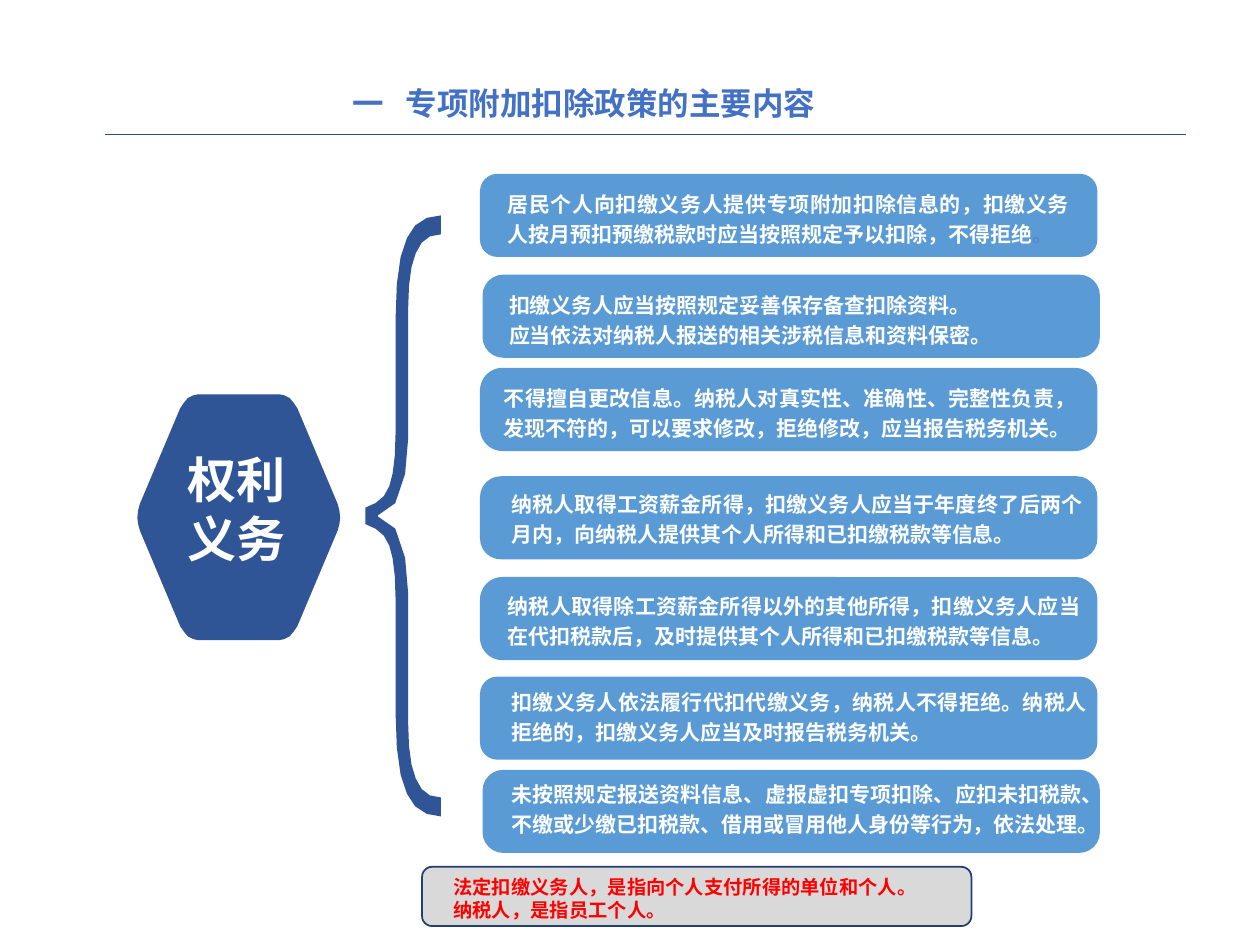
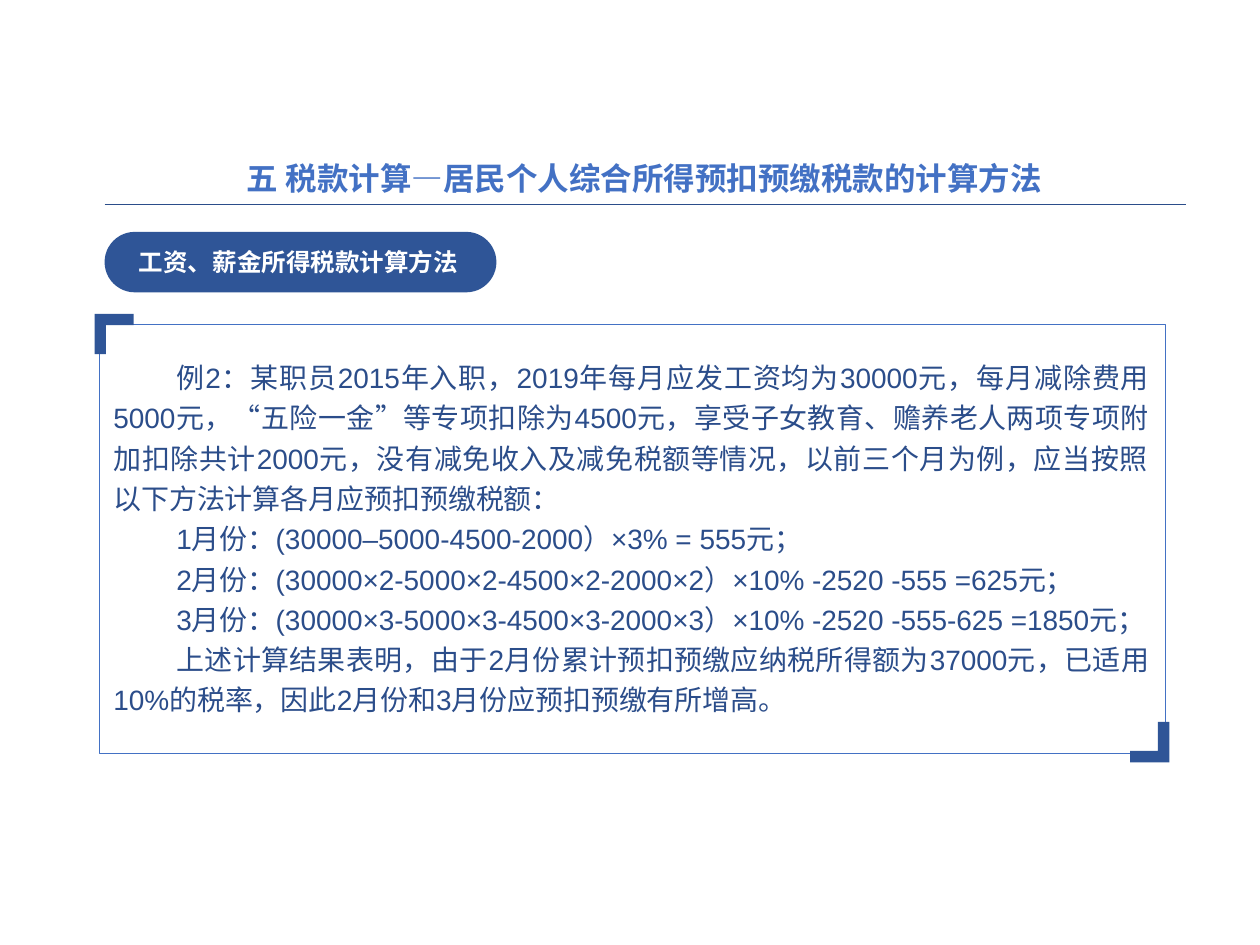
import pptx
import pptx.util
import pptx.dml.color
import pptx.enum.shapes
import pptx.enum.text
import pptx.oxml
import pptx.oxml.ns

Inches = pptx.util.Inches
ALIGN = pptx.enum.text.PP_ALIGN
ANCHOR = pptx.enum.text.MSO_ANCHOR

COLORS = {
    "title": "4371C4", "rule": "2B4D8A", "deep": "2F5597", "card": "5B9BD5",
    "white": "FFFFFF", "stop": "5C84CC", "note": "D9D9D9",
    "note_line": "233F70", "warning": "FF0000",
}
CJK = "Noto Sans CJK SC"

RIGHTS_TITLE = "一   专项附加扣除政策的主要内容"
RIGHTS_HUB = "权利义务"
CARD_LEFT, CARD_WIDTH, CARD_HEIGHT = 3.81, 4.9, 0.66
# card top, card shift, corner, text left, text offset, text width, paragraphs
DUTIES = [
    (1.38, 0, 0.21, 4.03, 0.10, 4.46,
     ["居民个人向扣缴义务人提供专项附加扣除信息的，扣缴义务人按月预扣预缴税款时应当按照规定予以扣除，不得拒绝"]),
    (2.18, 0.02, 0.25, 4.04, 0.10, 4.44,
     ["扣缴义务人应当按照规定妥善保存备查扣除资料。",
      "应当依法对纳税人报送的相关涉税信息和资料保密。"]),
    (2.92, 0, 0.27, 4.00, 0.10, 4.54,
     ["不得擅自更改信息。纳税人对真实性、准确性、完整性负责，发现不符的，可以要求修改，拒绝修改，应当报告税务机关。"]),
    (3.78, 0, 0.25, 4.06, 0.08, 4.54,
     ["纳税人取得工资薪金所得，扣缴义务人应当于年度终了后两个月内，向纳税人提供其个人所得和已扣缴税款等信息。"]),
    (4.58, 0, 0.27, 4.03, 0.09, 4.55,
     ["纳税人取得除工资薪金所得以外的其他所得，扣缴义务人应当在代扣税款后，及时提供其个人所得和已扣缴税款等信息。"]),
    (5.37, 0, 0.21, 4.06, 0.06, 4.57,
     ["扣缴义务人依法履行代扣代缴义务，纳税人不得拒绝。纳税人拒绝的，扣缴义务人应当及时报告税务机关。"]),
    (6.11, 0.02, 0.25, 4.06, 0.05, 4.70,
     ["未按照规定报送资料信息、虚报虚扣专项扣除、应扣未扣税款、不缴或少缴已扣税款、借用或冒用他人身份等行为，依法处理。"]),
]
PALE_STOP = "。"
DEFINITIONS = ["法定扣缴义务人，是指向个人支付所得的单位和个人。", "纳税人，是指员工个人。"]

HUB_X, HUB_Y = (1.09, 2.7), (3.13, 5.08)
HUB_QUARTER = [
    [(2.7, 4.11)], [(2.7, 4.07), (2.69, 4.03), (2.68, 4.0)],
    [(2.36, 3.24)], [(2.34, 3.21), (2.32, 3.18), (2.3, 3.16)],
    [(2.27, 3.14), (2.24, 3.13), (2.22, 3.13)],
]
BRACE_Y = (1.71, 6.48)
BRACE_OUTER = [
    [(3.5, 1.71)], [(3.38, 1.71), (3.28, 1.77), (3.23, 1.89)],
    [(3.17, 2.01), (3.14, 2.22), (3.14, 2.53)], [(3.14, 3.44)],
    [(3.14, 3.64), (3.12, 3.78), (3.09, 3.86)],
    [(3.06, 3.95), (2.99, 4.0), (2.9, 4.03)],
]
BRACE_INNER = [
    [(3.0, 4.09)], [(3.17, 4.09), (3.24, 3.76), (3.24, 3.48)], [(3.24, 2.45)],
    [(3.24, 2.25), (3.26, 2.1), (3.3, 2.01)],
    [(3.34, 1.91), (3.4, 1.86), (3.5, 1.86)],
]

TAX_TITLE = "五 税款计算—居民个人综合所得预扣预缴税款的计算方法"
TAX_METHOD = "工资、薪金所得税款计算方法"
EXAMPLE = [
    "例2：某职员2015年入职，2019年每月应发工资均为30000元，每月减除费用5000元，“五险一金”等专项扣除为4500元，享受子女教育、赡养老人两项专项附加扣除共计2000元，没有减免收入及减免税额等情况，以前三个月为例，应当按照以下方法计算各月应预扣预缴税额：",
    "1月份：(30000–5000-4500-2000）×3% = 555元；",
    "2月份：(30000×2-5000×2-4500×2-2000×2）×10% -2520 -555 =625元；",
    "3月份：(30000×3-5000×3-4500×3-2000×3）×10% -2520 -555-625 =1850元；",
    "上述计算结果表明，由于2月份累计预扣预缴应纳税所得额为37000元，已适用10%的税率，因此2月份和3月份应预扣预缴有所增高。",
]
BRACKET = [(0.75, 2.49), (1.06, 2.49), (1.06, 2.58), (0.84, 2.58), (0.84, 2.81), (0.75, 2.81)]
BRACKETS_X, BRACKETS_Y = (0.75, 9.28), (2.49, 6.05)


def rgb(name):
    return pptx.dml.color.RGBColor.from_string(COLORS[name])


def style_run(run, size, color, bold, font):
    run.font.size = pptx.util.Pt(size)
    run.font.bold = bold
    run.font.name = font
    run.font.color.rgb = rgb(color)
    east_asian = pptx.oxml.parse_xml(
        f'<a:ea {pptx.oxml.ns.nsdecls("a")} typeface="{CJK}"/>')
    run.font._element.find(pptx.oxml.ns.qn("a:latin")).addnext(east_asian)


def add_text(slide, box, paragraphs, size, color, bold=True, font=CJK, align=None,
             spacing=None, before=None, indent=0, anchor=ANCHOR.TOP, insets=(0, 0)):
    frame = slide.shapes.add_textbox(*map(Inches, box)).text_frame
    frame.word_wrap = True
    frame.vertical_anchor = anchor
    frame.margin_left = frame.margin_right = Inches(insets[0])
    frame.margin_top = frame.margin_bottom = Inches(insets[1])
    frame.text = "\n".join(paragraphs)
    for paragraph in frame.paragraphs:
        paragraph.alignment = align
        paragraph.line_spacing = spacing
        if before:
            paragraph.space_before = pptx.util.Pt(before)
        if indent:
            properties = paragraph._p.get_or_add_pPr()
            properties.set("marL", "0")
            properties.set("indent", str(Inches(indent)))
        for run in paragraph.runs:
            style_run(run, size, color, bold, font)
    return frame


def paint(shape, fill=None, line=None, width=1):
    shape.shadow.inherit = False
    if fill:
        shape.fill.solid()
        shape.fill.fore_color.rgb = rgb(fill)
    else:
        shape.fill.background()
    if line:
        shape.line.color.rgb = rgb(line)
        shape.line.width = pptx.util.Pt(width)
    else:
        shape.line.fill.background()


def add_panel(slide, box, corner, **look):
    panel = slide.shapes.add_shape(
        pptx.enum.shapes.MSO_SHAPE.ROUNDED_RECTANGLE, *map(Inches, box))
    panel.adjustments[0] = corner
    paint(panel, **look)


def add_outline(slide, points):
    start, *rest = [(Inches(x), Inches(y)) for x, y in points]
    builder = slide.shapes.build_freeform(*start, scale=1.0)
    builder.add_line_segments(rest, close=True)
    paint(builder.convert_to_shape(), fill="deep")


def trace(segments, steps):
    points = []
    for segment in segments:
        if len(segment) == 1:
            points += segment
            continue
        controls = [points[-1], *segment]
        for step in range(1, steps + 1):
            t = step / steps
            weights = ((1 - t) ** 3, 3 * t * (1 - t) ** 2, 3 * t * t * (1 - t), t ** 3)
            points.append(tuple(sum(w * c[axis] for w, c in zip(weights, controls))
                                for axis in (0, 1)))
    return points


def mirror(points, x_edges=None, y_edges=None):
    return [(sum(x_edges) - x if x_edges else x, sum(y_edges) - y if y_edges else y)
            for x, y in points]


def add_header(slide, title, box, rule_y):
    add_text(slide, box, [title], 18, "title", anchor=ANCHOR.MIDDLE, insets=(0, 0.05))
    rule = slide.shapes.add_connector(
        pptx.enum.shapes.MSO_CONNECTOR.STRAIGHT,
        *map(Inches, (0.83, rule_y, 9.41, rule_y)))
    rule.line.color.rgb = rgb("rule")
    rule.line.width = pptx.util.Pt(0.5)
    rule._element.spPr.append(
        pptx.oxml.parse_xml(f'<a:effectLst {pptx.oxml.ns.nsdecls("a")}/>'))


def build_rights(slide):
    add_panel(slide, (3.35, 6.88, 4.36, 0.47), 0.17, fill="note", line="note_line")
    add_header(slide, RIGHTS_TITLE, (2.8, 0.57, 5.04, 0.5), 1.07)

    quarter = trace(HUB_QUARTER, steps=2)
    upper = quarter + mirror(quarter, x_edges=HUB_X)[::-1]
    add_outline(slide, upper + mirror(upper, y_edges=HUB_Y)[-2:0:-1])
    add_text(slide, (1.38, 3.57, 0.99, 0.94), [RIGHTS_HUB], 28, "white", align=ALIGN.CENTER)

    outer, inner = trace(BRACE_OUTER, steps=3), trace(BRACE_INNER, steps=3)
    add_outline(slide, outer + mirror(outer, y_edges=BRACE_Y)[::-1]
                + mirror(inner, y_edges=BRACE_Y)[::-1] + inner)

    duty_frames = []
    for top, shift, corner, left, offset, width, duty in DUTIES:
        add_panel(slide, (CARD_LEFT + shift, top, CARD_WIDTH, CARD_HEIGHT), corner, fill="card")
        duty_frames.append(add_text(slide, (left, top + offset, width, 0.46), duty, 12,
                                    "white", align=ALIGN.JUSTIFY, spacing=1.2))
    stop = duty_frames[0].paragraphs[0].add_run()
    stop.text = PALE_STOP
    style_run(stop, 12, "stop", True, CJK)
    add_text(slide, (3.5, 6.9, 5.28, 0.66), DEFINITIONS, 11, "warning",
             font="Calibri", insets=(0.1, 0.05))


def build_tax(slide):
    add_header(slide, TAX_TITLE, (1.96, 1.21, 6.43, 0.41), 1.62)
    add_panel(slide, (0.79, 2.57, 8.46, 3.41), 0, line="title", width=0.25)
    add_outline(slide, BRACKET)
    add_outline(slide, mirror(BRACKET, BRACKETS_X, BRACKETS_Y))
    add_panel(slide, (0.83, 1.84, 3.11, 0.48), 0.5, fill="deep")
    add_text(slide, (0.61, 1.92, 3.52, 0.34), [TAX_METHOD], 14, "white",
             align=ALIGN.CENTER, spacing=0.9, before=10, anchor=ANCHOR.MIDDLE)
    add_text(slide, (0.9, 2.81, 8.22, 2.9), EXAMPLE, 16, "rule", bold=False, font="Arial",
             align=ALIGN.JUSTIFY, spacing=1.2, indent=0.5)


def main():
    deck = pptx.Presentation()
    deck.slide_width, deck.slide_height = Inches(10), Inches(7.5)
    for build in (build_rights, build_tax):
        build(deck.slides.add_slide(deck.slide_layouts[6]))
    deck.save("out.pptx")


if __name__ == "__main__":
    main()
